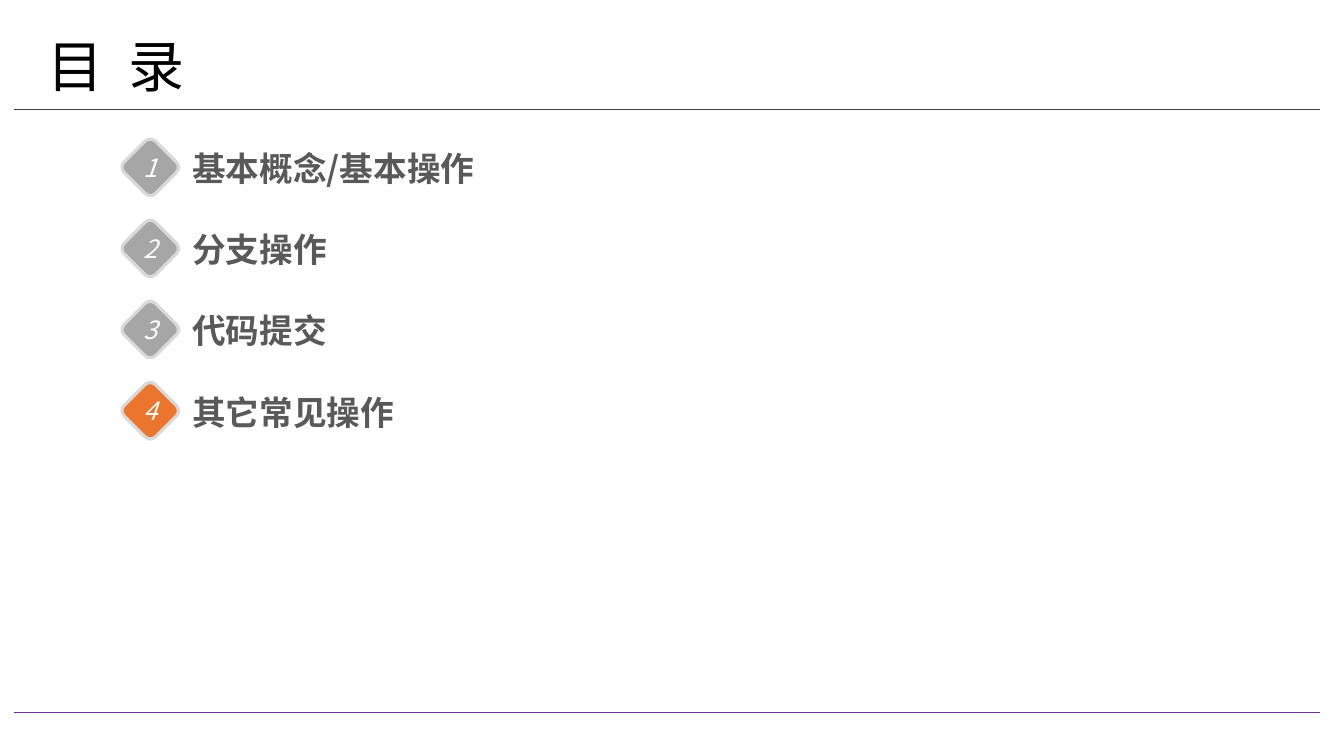
from dataclasses import dataclass

from lxml.etree import SubElement
from pptx import Presentation
from pptx.dml.color import RGBColor
from pptx.enum.shapes import MSO_CONNECTOR, MSO_SHAPE
from pptx.enum.text import MSO_ANCHOR, MSO_AUTO_SIZE, PP_ALIGN
from pptx.oxml.ns import qn
from pptx.util import Inches, Pt


@dataclass(frozen=True)
class Theme:
    font: str = "Noto Sans CJK SC"
    title: str = "000000"
    topic: str = "595959"
    number: str = "FFFFFF"
    badge: str = "A6A6A6"
    badge_active: str = "EC752D"
    badge_edge: str = "D9D9D9"
    header_rule: str = "404040"
    footer_rule: str = "7030A0"
    title_size: int = 40
    topic_size: int = 24
    number_size: int = 18


THEME = Theme()
TOPICS = ["基本概念/基本操作", "分支操作", "代码提交", "其它常见操作"]
ACTIVE_TOPIC = 4
FIRST_TOP = 1.42
ROW_PITCH = 0.805


def rgb(value):
    return RGBColor.from_string(value)


def add_text(shapes, text, left, top, width, height, *, size, color,
             bold=False, italic=False, align=PP_ALIGN.LEFT, wrap=True,
             anchor=MSO_ANCHOR.TOP, auto_size=MSO_AUTO_SIZE.SHAPE_TO_FIT_TEXT,
             line_spacing=None, tracking=0):
    """Add a one-paragraph text box; tracking is letter spacing in points."""
    box = shapes.add_textbox(Inches(left), Inches(top), Inches(width), Inches(height))
    frame = box.text_frame
    frame.word_wrap = wrap
    frame.auto_size = auto_size
    frame.vertical_anchor = anchor
    paragraph = frame.paragraphs[0]
    paragraph.alignment = align
    paragraph.line_spacing = line_spacing
    run = paragraph.add_run()
    run.text = text
    run.font.size = Pt(size)
    run.font.bold = bold
    run.font.italic = italic
    run.font.color.rgb = rgb(color)
    run.font.name = THEME.font
    properties = run.font._element
    SubElement(properties, qn("a:ea")).set("typeface", THEME.font)
    if tracking:
        properties.set("spc", str(int(tracking * 100)))


def add_rule(shapes, top, color, weight):
    rule = shapes.add_connector(MSO_CONNECTOR.STRAIGHT, Inches(0.14), Inches(top),
                                Inches(13.09), Inches(top))
    rule.line.color.rgb = rgb(color)
    rule.line.width = Pt(weight)
    SubElement(rule._element.spPr, qn("a:effectLst"))


def add_badge(shapes, left, top, fill):
    badge = shapes.add_shape(MSO_SHAPE.ROUNDED_RECTANGLE, Inches(left), Inches(top),
                             Inches(0.44), Inches(0.44))
    badge.rotation = 45
    badge.shadow.inherit = False
    badge.fill.solid()
    badge.fill.fore_color.rgb = rgb(fill)
    badge.line.color.rgb = rgb(THEME.badge_edge)
    badge.line.width = Pt(2.25)


def add_topic(slide, number, topic):
    """Add one contents row: a numbered diamond and its topic."""
    top = FIRST_TOP + (number - 1) * ROW_PITCH
    row = slide.shapes.add_group_shape().shapes
    add_text(row, topic, 1.81, top, 3.8, 0.5,
             size=THEME.topic_size, color=THEME.topic, bold=True)
    fill = THEME.badge_active if number == ACTIVE_TOPIC else THEME.badge
    add_badge(row, 1.27, top + 0.02, fill)
    add_text(row, str(number), 1.32, top + 0.04, 0.35, 0.4,
             size=THEME.number_size, color=THEME.number, italic=True,
             align=PP_ALIGN.CENTER, wrap=False)


def main():
    deck = Presentation()
    deck.slide_width, deck.slide_height = Inches(13.33), Inches(7.5)
    slide = deck.slides.add_slide(deck.slide_layouts[6])
    add_rule(slide.shapes, 1.09, THEME.header_rule, 0.75)
    add_rule(slide.shapes, 7.07, THEME.footer_rule, 1)
    add_text(slide.shapes, "目 录", 0.37, 0.35, 11.28, 0.67,
             size=THEME.title_size, color=THEME.title, anchor=MSO_ANCHOR.MIDDLE,
             auto_size=MSO_AUTO_SIZE.NONE, line_spacing=0.9, tracking=4.5)
    for number, topic in enumerate(TOPICS, start=1):
        add_topic(slide, number, topic)
    deck.save("out.pptx")


if __name__ == "__main__":
    main()
